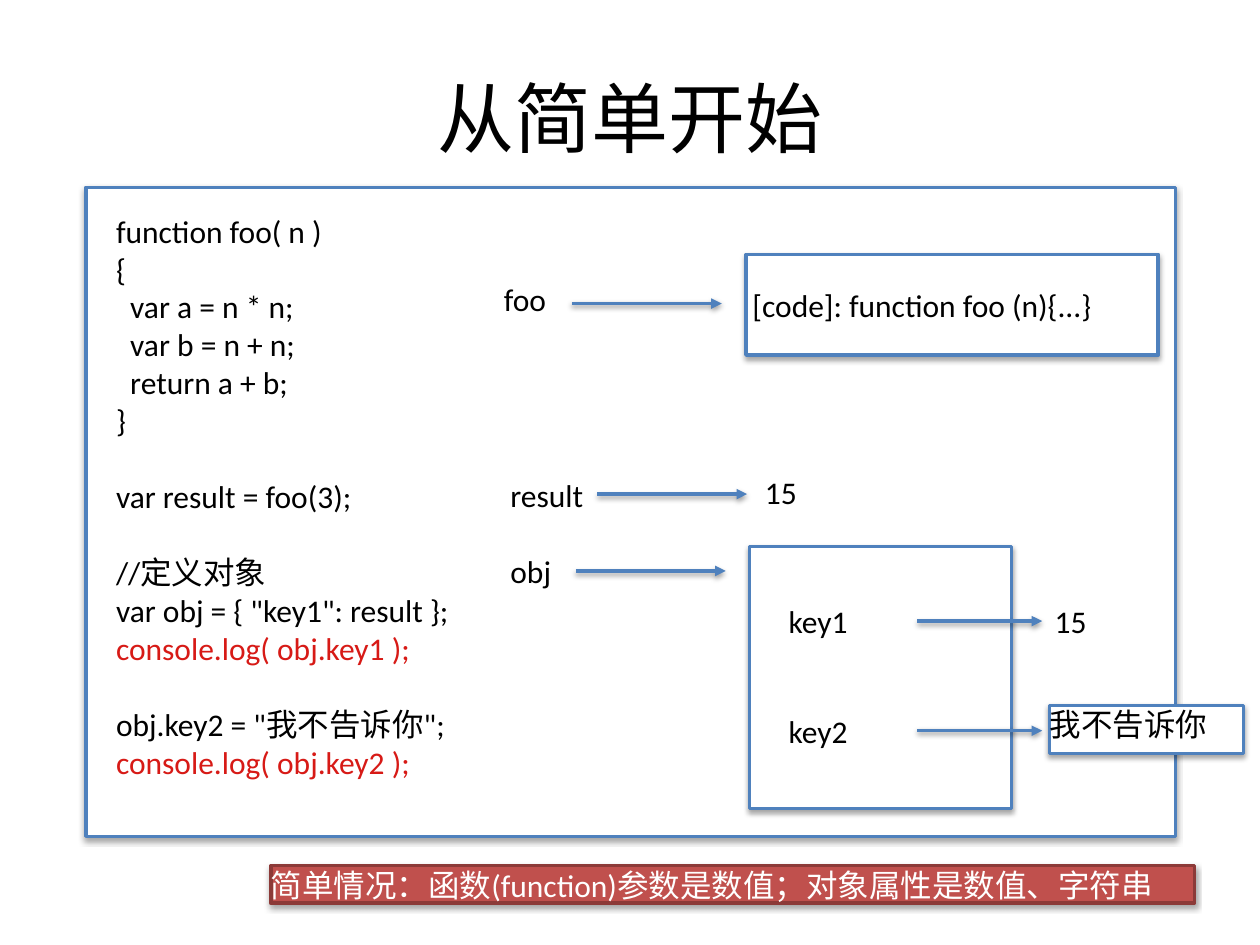
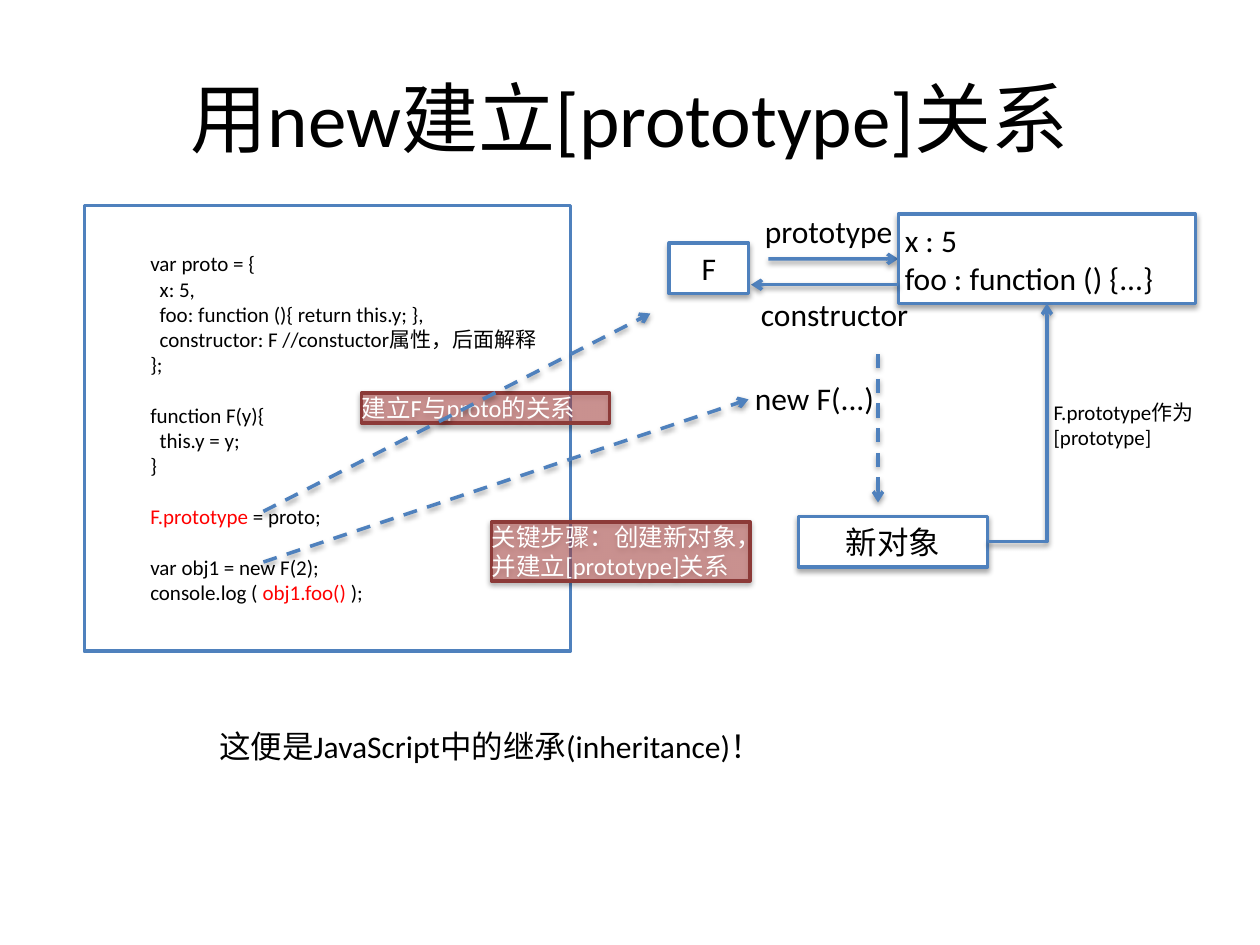
from collections import namedtuple

from lxml import etree
from pptx import Presentation
from pptx.dml.color import RGBColor
from pptx.enum.dml import MSO_LINE
from pptx.enum.shapes import MSO_CONNECTOR, MSO_SHAPE
from pptx.enum.text import MSO_ANCHOR, PP_ALIGN
from pptx.oxml.ns import qn
from pptx.util import Cm, Pt

RECTANGLE = MSO_SHAPE.RECTANGLE
STRAIGHT, ELBOW = MSO_CONNECTOR.STRAIGHT, MSO_CONNECTOR.ELBOW
DASH = MSO_LINE.DASH
TOP, MIDDLE = MSO_ANCHOR.TOP, MSO_ANCHOR.MIDDLE
LEFT, CENTER = PP_ALIGN.LEFT, PP_ALIGN.CENTER
SIDE_LEFT, SIDE_BOTTOM, SIDE_RIGHT = 1, 2, 3

FONT = "Calibri"
BLACK, WHITE, BLUE = "000000", "FFFFFF", "4F81BD"
BRICK, DARK_BRICK = "C0504D", "8C3A38"
LOG_RED, KEY_RED = "D71A16", "FF0000"
BODY = 18
LINE_HEIGHT = 1.22
LABEL_HEIGHT = 1
INSET = 0.13
RED_MARK = "|"

SIMPLE_CODE = """function foo( n )
{
  var a = n * n;
  var b = n + n;
  return a + b;
}

var result = foo(3);

//定义对象
var obj = { "key1": result };
|console.log( obj.key1 );|

obj.key2 = "我不告诉你";
|console.log( obj.key2 );|"""

PROTOTYPE_CODE = """var proto = {
  x: 5,
  foo: function (){ return this.y; },
  constructor: F //constuctor属性，后面解释
};

function F(y){
  this.y = y;
}

|F.prototype| = proto;

var obj1 = new F(2);
console.log (| obj1.foo() |);"""


class Box(namedtuple("Box", "left top width height")):
    """A region of the slide in centimetres."""

    def inner(self, x, y, width, height):
        """Return a box placed relative to this one."""
        return Box(self.left + x, self.top + y, width, height)

    def point(self, x, y):
        """Return a point placed relative to this box."""
        return self.left + x, self.top + y

    def lengths(self):
        """Return the four measures as slide lengths."""
        return [Cm(value) for value in self]


def rgb(color):
    """Turn a hex string into a colour."""
    return RGBColor.from_string(color)


def add_shadow(effects, alpha, distance):
    """Put a soft downward shadow into an effect list."""
    shadow = etree.SubElement(effects, qn("a:outerShdw"), blurRad=str(Pt(3)),
                              dist=str(Pt(distance)), dir="5400000", rotWithShape="0")
    black = etree.SubElement(shadow, qn("a:srgbClr"), val=BLACK)
    etree.SubElement(black, qn("a:alpha"), val=str(alpha * 1000))


def write(shape, text, size=BODY, color=BLACK, align=LEFT, anchor=TOP, inset=INSET, mark=LOG_RED):
    """Write lines into a shape; marked pieces are red, empty lines become spacing."""
    frame = shape.text_frame
    frame.word_wrap = True
    frame.vertical_anchor = anchor
    frame.margin_left = frame.margin_right = Cm(inset)
    frame.margin_top = frame.margin_bottom = Cm(inset)
    paragraph, gap = frame.paragraphs[0], 0
    for number, line in enumerate(text.split("\n")):
        if not line:
            gap += size * LINE_HEIGHT
            continue
        if number:
            paragraph = frame.add_paragraph()
        paragraph.alignment = align
        if gap:
            paragraph.space_before, gap = Pt(gap), 0
        pieces = line.split(RED_MARK)
        whole_line_marked = len(pieces) == 3 and not pieces[0] and not pieces[2]
        paragraph.font.name, paragraph.font.size = FONT, Pt(size)
        paragraph.font.color.rgb = rgb(mark if whole_line_marked else color)
        for position, piece in enumerate(pieces):
            if piece:
                run = paragraph.add_run()
                run.text = piece
                if position % 2 and not whole_line_marked:
                    run.font.color.rgb = rgb(mark)


def add_label(slide, box, text, **style):
    """Add a plain text box."""
    write(slide.shapes.add_textbox(*box.lengths()), text, **style)


def add_panel(slide, box, fill=WHITE, line=BLUE, shadowed=True):
    """Add an outlined rectangle."""
    panel = slide.shapes.add_shape(RECTANGLE, *box.lengths())
    panel.fill.solid()
    panel.fill.fore_color.rgb = rgb(fill)
    panel.line.color.rgb = rgb(line)
    panel.line.width = Pt(2)
    panel.shadow.inherit = False
    if shadowed:
        add_shadow(panel._element.spPr.find(qn("a:effectLst")), 35, 1.8)
    return panel


def add_banner(slide, box, text, size=BODY, opacity=100):
    """Add a red remark, see-through if asked."""
    banner = add_panel(slide, box, BRICK, DARK_BRICK)
    if opacity < 100:
        fill = banner._element.spPr.find(qn("a:solidFill"))
        etree.SubElement(fill[0], qn("a:alpha"), val=str(opacity * 1000))
    write(banner, text, size, WHITE, inset=0)


def add_arrow(slide, start, end, head="triangle", dashed=False, kind=STRAIGHT):
    """Add a blue arrow between two points."""
    arrow = slide.shapes.add_connector(kind, *[Cm(value) for value in (*start, *end)])
    arrow.line.color.rgb = rgb(BLUE)
    arrow.line.width = Pt(2)
    if dashed:
        arrow.line.dash_style = DASH
    properties = arrow._element.spPr
    etree.SubElement(properties.find(qn("a:ln")), qn("a:tailEnd"), type=head)
    add_shadow(etree.SubElement(properties, qn("a:effectLst")), 38, 1.6)
    return arrow


def add_title(slide, text):
    """Add the centred slide title."""
    add_label(slide, Box(1.27, 0.76, 22.86, 3.18), text, size=44, align=CENTER,
              anchor=MIDDLE, inset=0.25)


def add_code(slide, box, code_box, code, size, mark, shadowed):
    """Add a framed code listing."""
    add_panel(slide, box, shadowed=shadowed)
    add_label(slide, box.inner(*code_box), code, size=size, mark=mark)


def add_memory(slide, box):
    """Draw the variables and the values they point to."""
    variables = [("foo", 0.03, 0.41, 1.19, 1.53, 1.02),
                 ("result", 0.16, 4.37, 1.93, 2.04, 4.86),
                 ("obj", 0.16, 5.9, 1.4, 1.61, 6.41)]
    add_panel(slide, box.inner(5.11, 5.92, 5.28, 5.28))
    for name, x, y, width, arrow_x, arrow_y in variables:
        add_label(slide, box.inner(x, y, width, LABEL_HEIGHT), name)
        add_arrow(slide, box.point(arrow_x, arrow_y), box.point(arrow_x + 3.02, arrow_y))
    function_value = add_panel(slide, box.inner(5.04, 0.03, 8.31, 2.03))
    write(function_value, "[code]: function foo (n){...}", anchor=MIDDLE)
    add_label(slide, box.inner(5.29, 4.3, 2.06, LABEL_HEIGHT), "15")

    first_key, key_step = 6.91, 2.21
    for row, key in enumerate(("key1", "key2")):
        y = first_key + row * key_step
        add_label(slide, box.inner(5.77, y, 1.6, LABEL_HEIGHT), key)
        add_arrow(slide, box.point(8.49, y + 0.51), box.point(11.01, y + 0.51))
    add_label(slide, box.inner(11.13, first_key, 0.97, LABEL_HEIGHT), "15")
    string_value = add_panel(slide, box.inner(11.16, first_key + key_step, 3.91, 0.97))
    write(string_value, "我不告诉你", inset=0)


def add_prototype(slide, box):
    """Draw the links between F, its prototype and the new object."""
    add_label(slide, box.inner(1.89, 0.04, 3.81, LABEL_HEIGHT), "prototype")
    prototype_link = add_arrow(slide, box.point(2.09, 1.12), box.point(4.71, 1.12), "arrow")
    prototype = add_panel(slide, box.inner(4.71, 0.22, 5.99, 1.8))
    write(prototype, "x : 5\nfoo : function () {...}", anchor=MIDDLE)
    prototype_link.end_connect(prototype, SIDE_LEFT)
    add_arrow(slide, box.point(4.71, 1.64), box.point(1.74, 1.64), "arrow")
    add_label(slide, box.inner(1.69, 1.59, 3.53, LABEL_HEIGHT), "constructor", inset=0.25)

    add_label(slide, box.inner(1.69, 3.42, 8.79, LABEL_HEIGHT), "new F(...)")
    add_arrow(slide, box.point(4.3, 3.04), box.point(4.3, 6.03), "arrow", dashed=True)
    new_object = add_panel(slide, box.inner(2.7, 6.31, 3.81, 1.02))
    write(new_object, "新对象", align=CENTER, anchor=MIDDLE)
    constructor = add_panel(slide, box.inner(0.09, 0.8, 1.6, 1.02))
    write(constructor, "F", align=CENTER, anchor=MIDDLE)

    inheritance = add_arrow(slide, box.point(6.51, 6.82), box.point(7.71, 2.02), "arrow", kind=ELBOW)
    inheritance._element.spPr.find(qn("a:prstGeom")).set("prst", "bentConnector2")
    inheritance.begin_connect(new_object, SIDE_RIGHT)
    inheritance.end_connect(prototype, SIDE_BOTTOM)
    add_label(slide, box.inner(7.71, 3.82, 3.61, 1.27), "F.prototype作为\n[prototype]", size=12)


def add_steps(slide, box):
    """Explain two code lines with remarks and dashed arrows."""
    add_banner(slide, box.inner(5.59, 3.78, 5, 0.61), "建立F与proto的关系", 14, 50)
    add_banner(slide, box.inner(8.21, 6.38, 5.21, 1.19),
               "关键步骤：创建新对象，并建立[prototype]关系", 14, 50)
    for start_y, end in ((6.17, (11.41, 2.18)), (7.19, (13.39, 3.91))):
        add_arrow(slide, box.point(3.61, start_y), box.point(*end), "arrow", dashed=True)


def build_simple_start(slide):
    """Build the slide on plain values."""
    add_title(slide, "从简单开始")
    add_code(slide, Box(1.73, 3.78, 21.97, 13.08), (0.48, 0.36, 12.09, 11.79),
             SIMPLE_CODE, BODY, LOG_RED, True)
    add_banner(slide, Box(5.46, 17.45, 18.62, 0.76),
               "简单情况：函数(function)参数是数值；对象属性是数值、字符串")
    add_memory(slide, Box(10, 5.1, 15.1, 11.2))


def build_new_prototype(slide):
    """Build the slide on new and prototypes."""
    listing = Box(1.7, 4.14, 9.8, 8.99)
    add_title(slide, "用new建立[prototype]关系")
    add_code(slide, listing, (1.2, 0.79, 11.4, 7.44), PROTOTYPE_CODE, 12, KEY_RED, False)
    add_steps(slide, listing)
    add_prototype(slide, Box(13.4, 4.1, 11.3, 7.4))
    add_label(slide, Box(4.29, 14.53, 17.2, LABEL_HEIGHT),
              "这便是JavaScript中的继承(inheritance)！")


def main():
    """Build and save the presentation."""
    presentation = Presentation()
    presentation.slide_width, presentation.slide_height = Cm(25.4), Cm(19.05)
    blank = presentation.slide_layouts[6]
    for build in (build_simple_start, build_new_prototype):
        build(presentation.slides.add_slide(blank))
    presentation.save("out.pptx")


if __name__ == "__main__":
    main()
